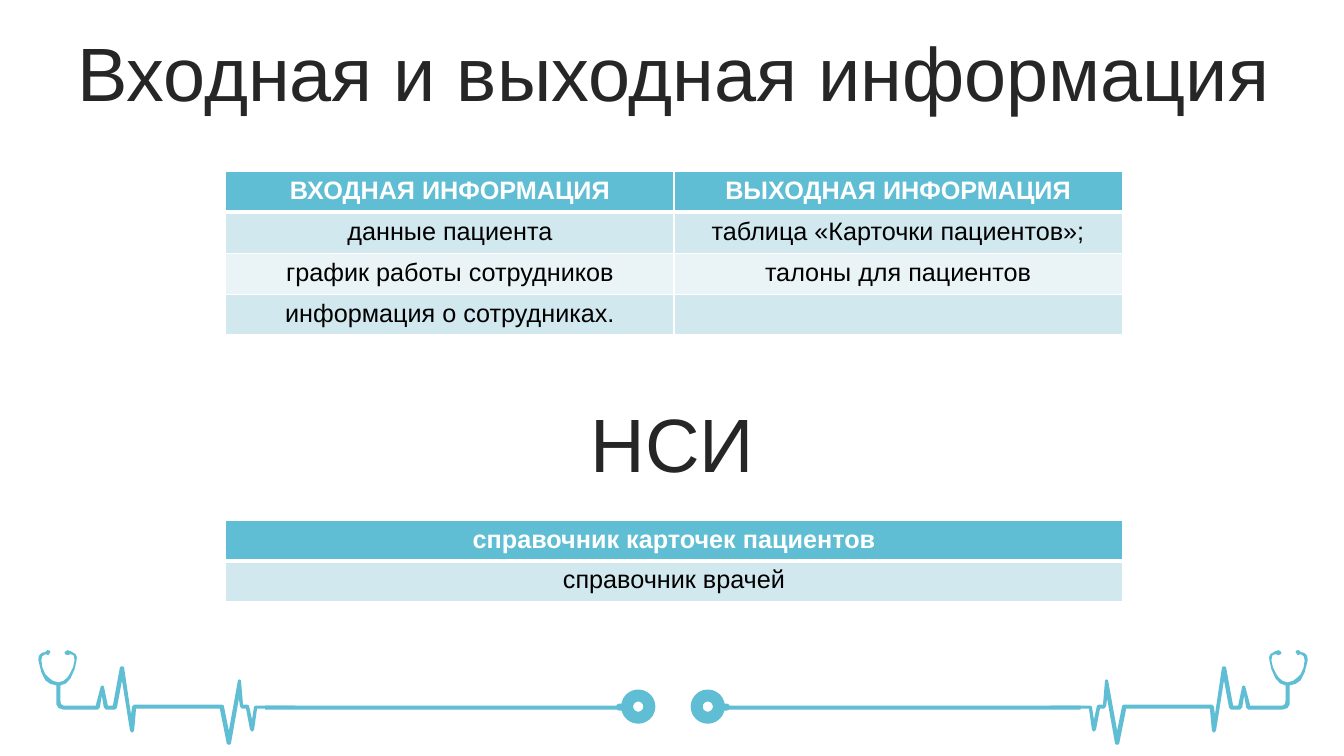
from lxml.etree import SubElement
from pptx import Presentation
from pptx.dml.color import RGBColor
from pptx.enum.shapes import MSO_SHAPE
from pptx.enum.text import MSO_ANCHOR, MSO_AUTO_SIZE, PP_ALIGN
from pptx.oxml.ns import qn
from pptx.util import Inches, Pt

FONT = "Arial"
TEAL = RGBColor(0x60, 0xBE, 0xD4)
BAND_DARK = RGBColor(0xD2, 0xE8, 0xEF)
BAND_LIGHT = RGBColor(0xEA, 0xF4, 0xF7)
WHITE = RGBColor(0xFF, 0xFF, 0xFF)
BLACK = RGBColor(0x00, 0x00, 0x00)
HEADING = RGBColor(0x26, 0x26, 0x26)

# Grid of square cells, 75 rows to the height of the slide
SLIDE_WIDTH, SLIDE_HEIGHT = Inches(13.33), Inches(7.5)
CELL = SLIDE_HEIGHT / 75
MIRROR_SPAN = 133.5  # a column and its mirror image add up to this
ROW_HEIGHT = 4.06
TABLE_LEFT, TABLE_WIDTH = 22.4, 88.9

INFORMATION = [
    ("ВХОДНАЯ ИНФОРМАЦИЯ", "ВЫХОДНАЯ ИНФОРМАЦИЯ"),
    ("данные пациента", "таблица «Карточки пациентов»;"),
    ("график работы сотрудников", "талоны для пациентов"),
    ("информация о сотрудниках.", ""),
]
REFERENCE = [("справочник карточек пациентов",), ("справочник врачей",)]

# Stethoscope and heartbeat outline, clockwise, in grid cells
STETHOSCOPE = [
    # left earpiece and inside of the cup
    (3.8, 65.5), (3.85, 65.1), (4, 64.9), (4.2, 64.75), (4.5, 64.7),
    (4.7, 64.5), (4.95, 64.55), (5, 64.7), (4.8, 65), (4.5, 64.9),
    (4.2, 65.1), (4.1, 65.5), (4.2, 66.2), (4.5, 66.9), (4.8, 67.2),
    (5.25, 67.55), (5.8, 67.7), (6.3, 67.55), (6.7, 67.2), (6.9, 66.9),
    (7.25, 66.2), (7.4, 65.5), (7.3, 65), (7, 64.9),
    # right earpiece and outside of the cup
    (6.7, 65), (6.45, 64.9), (6.4, 64.7), (6.7, 64.5), (7, 64.6),
    (7.5, 64.9), (7.62, 65.2), (7.6, 65.5), (7.4, 66.4), (7, 67.3),
    (6.55, 67.8), (6, 68),
    # upper edge of the tube and heartbeat
    (6, 69.5), (6.05, 69.85), (6.3, 70), (9.5, 70), (10, 68.1), (10.15, 68),
    (10.3, 68.1), (10.7, 70), (11.2, 70), (11.9, 66.2), (12.1, 66.1),
    (12.3, 66.2), (13, 70.9), (13.1, 70.1), (13.3, 69.9), (22, 69.9),
    (22.2, 70), (22.7, 72.5), (23.6, 67.5), (23.75, 67.4), (23.9, 67.5),
    (24.1, 69.9), (24.5, 69.9), (24.7, 70), (25, 71.4), (25.2, 70.1),
    (25.4, 70), (29.3, 70),
    # lower edge, back to the cup
    (29.3, 70.3), (25.5, 70.3), (25.2, 72.4), (25, 72.6), (24.8, 72.4),
    (24.4, 70.3), (24, 70.3), (23.8, 70.1), (23.7, 69.3), (22.9, 73.8),
    (22.7, 73.9), (22.5, 73.8), (21.8, 70.3), (13.5, 70.3), (13.3, 72.5),
    (13.1, 72.7), (12.9, 72.5), (12.1, 67.5), (11.6, 70.2), (11.4, 70.4),
    (10.5, 70.4), (10.3, 70.2), (10.1, 69), (9.9, 70.2), (9.7, 70.4),
    (6.3, 70.4), (5.8, 70.25), (5.6, 69.9), (5.6, 68), (5, 67.85),
    (4.5, 67.5), (4.1, 66.7),
]


def grid(*lengths):
    return [round(length * CELL) for length in lengths]


def style_shape(shape, fill=None, line=None, line_width=0):
    shape.shadow.inherit = False
    if fill is None:
        shape.fill.background()
    else:
        shape.fill.solid()
        shape.fill.fore_color.rgb = fill
    if line is None:
        shape.line.fill.background()
    else:
        shape.line.color.rgb = line
        shape.line.width = Pt(line_width)


def add_stethoscope(slide, mirrored):
    def column(x, width=0):
        return MIRROR_SPAN - x - width if mirrored else x

    # Cup and heartbeat
    points = [grid(column(x), y) for x, y in STETHOSCOPE]
    builder = slide.shapes.build_freeform(*points[0], scale=1.0)
    builder.add_line_segments(points[1:], close=True)
    style_shape(builder.convert_to_shape(), fill=TEAL)

    # Tube, knob and chest piece
    parts = [
        (MSO_SHAPE.RECTANGLE, 26.3, 70, 35.6, 0.4, {"fill": TEAL}),
        (MSO_SHAPE.ROUNDED_RECTANGLE, 61.1, 69.8, 1.1, 0.7, {"fill": TEAL}),
        (MSO_SHAPE.OVAL, 62.2, 69, 2.2, 2.2, {"line": TEAL, "line_width": 8.57}),
    ]
    for kind, x, y, width, height, style in parts:
        shape = slide.shapes.add_shape(
            kind, *grid(column(x, width), y, width, height))
        if kind == MSO_SHAPE.ROUNDED_RECTANGLE:
            shape.adjustments[0] = 0.5
        style_shape(shape, **style)


def add_span(para, text, size, color, bold=False):
    para.alignment = PP_ALIGN.CENTER
    span = para.add_run()
    span.text = text
    span.font.name = FONT
    span.font.size = Pt(size)
    span.font.bold = bold
    span.font.color.rgb = color


def write_heading(box, text, left, top):
    box.left, box.top, box.width, box.height = grid(left, top, 126.6, 7.9)
    frame = box.text_frame
    frame.word_wrap = True
    frame.auto_size = MSO_AUTO_SIZE.NONE
    frame.vertical_anchor = MSO_ANCHOR.MIDDLE
    para = frame.paragraphs[0]
    para.line_spacing = 0.9
    para.space_before = Pt(10)
    add_span(para, text, 54, HEADING)


def set_borders(cell, top, bottom):
    properties = cell._tc.get_or_add_tcPr()
    for side, width in (("L", 1), ("R", 1), ("T", top), ("B", bottom)):
        line = SubElement(properties, qn(f"a:ln{side}"), w=str(Pt(width)))
        fill = SubElement(line, qn("a:solidFill"))
        SubElement(fill, qn("a:srgbClr"), val=str(WHITE))


def add_banded_table(slide, rows, top):
    columns = len(rows[0])
    frame = slide.shapes.add_table(
        len(rows), columns,
        *grid(TABLE_LEFT, top, TABLE_WIDTH, ROW_HEIGHT * len(rows)))
    for row_index, row in enumerate(rows):
        header = row_index == 0
        band = TEAL if header else (BAND_LIGHT, BAND_DARK)[row_index % 2]
        for column_index, text in enumerate(row):
            cell = frame.table.cell(row_index, column_index)
            # The header is parted from the body by a thicker rule
            set_borders(cell, 3 if row_index == 1 else 1, 3 if header else 1)
            cell.fill.solid()
            cell.fill.fore_color.rgb = band
            if text:
                add_span(cell.text_frame.paragraphs[0], text, 18,
                         WHITE if header else BLACK, header)


def main():
    deck = Presentation()
    deck.slide_width, deck.slide_height = SLIDE_WIDTH, SLIDE_HEIGHT
    slide = deck.slides.add_slide(deck.slide_layouts.get_by_name("Title Only"))

    # Decoration along the bottom
    for mirrored in (True, False):
        add_stethoscope(slide, mirrored)

    # Input and output information
    write_heading(slide.shapes.title, "Входная и выходная информация", 3.5, 3.7)
    add_banded_table(slide, INFORMATION, 17)

    # Reference information
    write_heading(slide.shapes.add_textbox(0, 0, 0, 0), "НСИ", 3.4, 40.5)
    add_banded_table(slide, REFERENCE, 51.6)

    deck.save("out.pptx")


if __name__ == "__main__":
    main()
